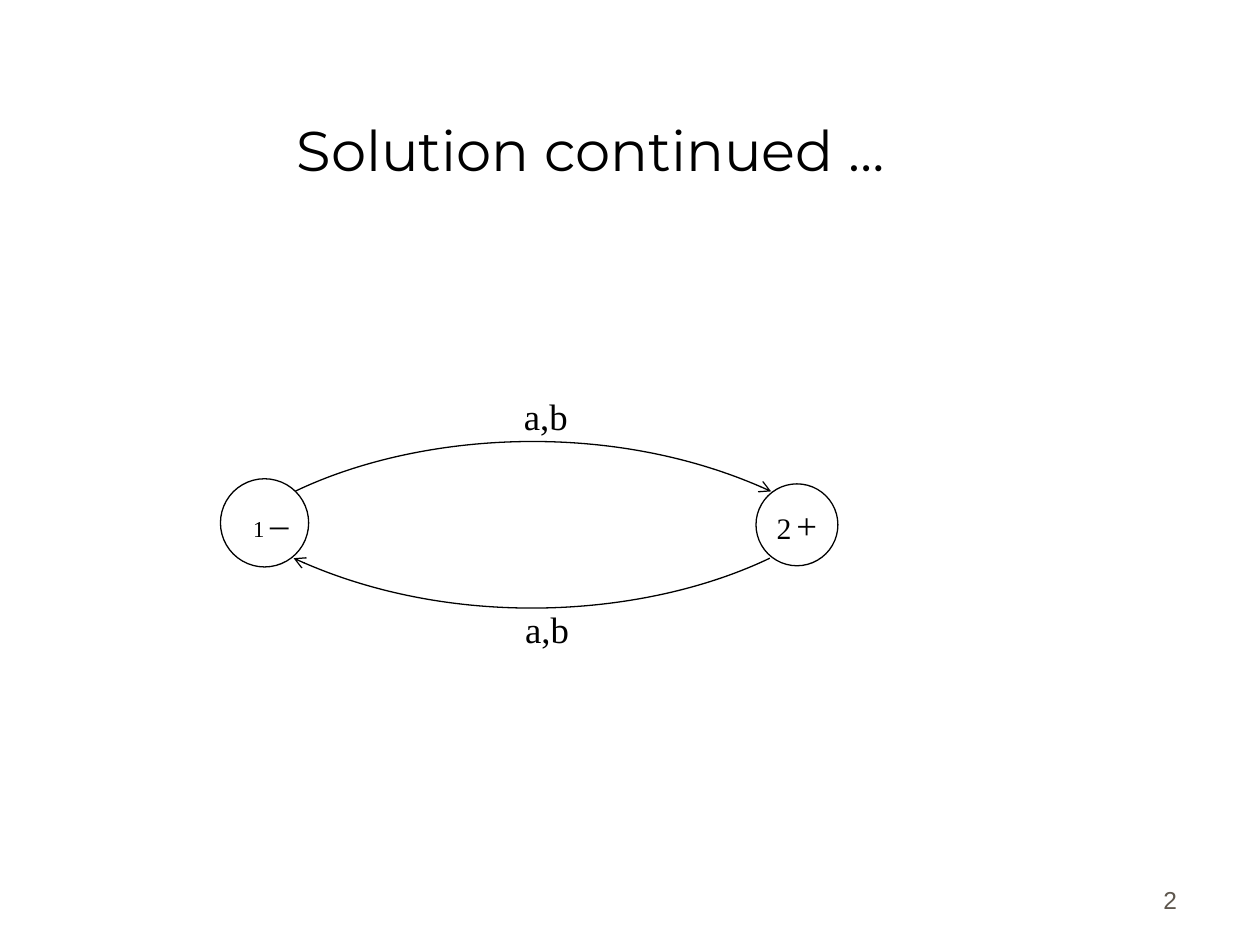
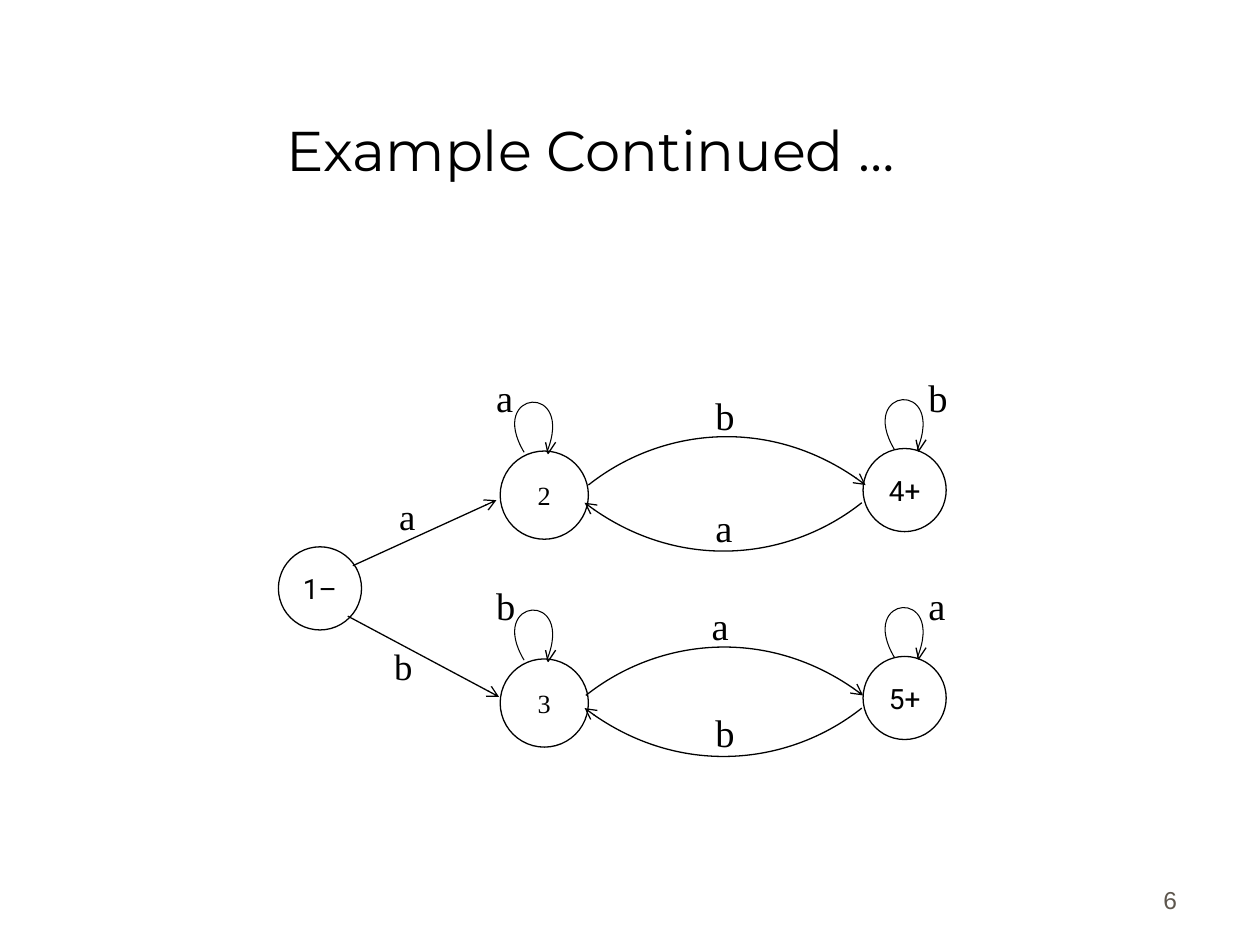
from dataclasses import dataclass

from lxml import etree
from pptx import Presentation
from pptx.dml.color import RGBColor
from pptx.enum.shapes import MSO_CONNECTOR, MSO_SHAPE
from pptx.enum.text import MSO_ANCHOR, PP_ALIGN
from pptx.oxml.ns import qn
from pptx.shapes.base import BaseShape
from pptx.slide import Slide
from pptx.util import Inches, Pt

BLACK = RGBColor(0x00, 0x00, 0x00)
WHITE = RGBColor(0xFF, 0xFF, 0xFF)
PAGE_NUMBER_COLOR = RGBColor(0x5E, 0x57, 0x4E)
TITLE_FONT = "Montserrat"
PAGE_NUMBER_FONT = "Arial"
LABEL_FONT = "Times New Roman"
FINAL_STATE_FONT = "Roboto"
LINE_WIDTH = 0.75
LOOP_WIDTH = 0.6
ROW_PITCH = 1.65

Point = tuple[float, float]


@dataclass(frozen=True)
class State:
    left: float
    top: float
    diameter: float
    caption: tuple[tuple[str, float], ...]  # text and size of each run
    font: str = LABEL_FONT
    left_inset: float = 0


@dataclass(frozen=True)
class Label:
    text: str
    left: float
    top: float
    size: float = 22


@dataclass(frozen=True)
class Arc:
    """A curved arrow; a negative span runs right to left, below the states."""
    x: float
    y: float
    span: float
    rise: float


def style_run(run, font: str, size: float, color: RGBColor = BLACK) -> None:
    run.font.name = font
    run.font.size = Pt(size)
    run.font.color.rgb = color


def style_line(shape: BaseShape, width: float = LINE_WIDTH, arrow: bool = False) -> None:
    shape.line.color.rgb = BLACK
    shape.line.width = Pt(width)
    if arrow:
        line = shape.line._get_or_add_ln()
        etree.SubElement(line, qn("a:tailEnd")).set("type", "arrow")


def add_titled_slide(presentation, title: str, page_number: str) -> Slide:
    slide = presentation.slides.add_slide(presentation.slide_layouts[5])
    heading = slide.shapes.title
    heading.left, heading.top = Inches(0.44), Inches(0.25)
    heading.width, heading.height = Inches(8.5), Inches(1.25)
    frame = heading.text_frame
    frame.text = title
    frame.vertical_anchor = MSO_ANCHOR.BOTTOM
    frame.paragraphs[0].alignment = PP_ALIGN.CENTER
    style_run(frame.paragraphs[0].runs[0], TITLE_FONT, 32)

    footer = slide.shapes.add_textbox(
        Inches(7.36), Inches(6.81), Inches(2.08), Inches(0.5))
    frame = footer.text_frame
    frame.word_wrap = True
    frame.vertical_anchor = MSO_ANCHOR.BOTTOM
    frame.text = page_number
    frame.paragraphs[0].alignment = PP_ALIGN.RIGHT
    style_run(frame.paragraphs[0].runs[0], PAGE_NUMBER_FONT, 14, PAGE_NUMBER_COLOR)
    return slide


def add_state(slide: Slide, state: State) -> None:
    circle = slide.shapes.add_shape(
        MSO_SHAPE.OVAL, Inches(state.left), Inches(state.top),
        Inches(state.diameter), Inches(state.diameter))
    circle.shadow.inherit = False
    circle.fill.solid()
    circle.fill.fore_color.rgb = WHITE
    style_line(circle)
    frame = circle.text_frame
    frame.word_wrap = False
    frame.vertical_anchor = MSO_ANCHOR.MIDDLE
    frame.margin_left = Inches(state.left_inset)
    frame.margin_right = frame.margin_top = frame.margin_bottom = 0
    paragraph = frame.paragraphs[0]
    paragraph.alignment = PP_ALIGN.CENTER
    for text, size in state.caption:
        run = paragraph.add_run()
        run.text = text
        style_run(run, state.font, size)


def add_label(slide: Slide, label: Label) -> None:
    box = slide.shapes.add_textbox(
        Inches(label.left), Inches(label.top), Inches(0.7), Inches(0.46))
    box.text_frame.word_wrap = True
    box.text_frame.text = label.text
    style_run(box.text_frame.paragraphs[0].runs[0], LABEL_FONT, label.size)


def add_open_path(slide: Slide, points: list[Point]) -> BaseShape:
    start, *others = [(Inches(x), Inches(y)) for x, y in points]
    builder = slide.shapes.build_freeform(*start)
    builder.add_line_segments(others, close=False)
    outline = builder.convert_to_shape()
    outline.shadow.inherit = False
    outline.fill.background()
    return outline


def add_curve(slide: Slide, points: list[Point]) -> BaseShape:
    """Draw a cubic curve from its start, two control points and end."""
    curve = add_open_path(slide, points)
    segments = list(curve._element.iter(qn("a:lnTo")))
    drawing_path = segments[0].getparent()
    cubic = etree.SubElement(drawing_path, qn("a:cubicBezTo"))
    for segment in segments:
        cubic.append(segment[0])
        drawing_path.remove(segment)
    return curve


def add_arc(slide: Slide, arc: Arc) -> None:
    rise = arc.rise if arc.span > 0 else -arc.rise
    steps = [(0, 0), (0.256, 0.8), (0.668, 1), (1, 0)]
    curve = add_curve(slide, [(arc.x + across * arc.span, arc.y - up * rise)
                              for across, up in steps])
    style_line(curve, arrow=True)


def add_loop(slide: Slide, x: float, y: float) -> None:
    """Draw a self-transition that leaves its state at (x, y)."""
    curve = add_curve(slide, [(x, y), (x - 0.3, y - 0.5),
                              (x + 0.41, y - 0.56), (x + 0.18, y)])
    style_line(curve, LOOP_WIDTH)
    head = add_open_path(slide, [(x + 0.17, y - 0.08), (x + 0.19, y + 0.01),
                                 (x + 0.25, y - 0.08)])
    style_line(head)


def add_straight_arrow(slide: Slide, start: Point, end: Point) -> None:
    connector = slide.shapes.add_connector(
        MSO_CONNECTOR.STRAIGHT, *(Inches(value) for value in start + end))
    style_line(connector, arrow=True)
    etree.SubElement(connector._element.spPr, qn("a:effectLst"))


def add_automaton(slide: Slide, states: list[State], arcs: list[Arc],
                  labels: list[Label]) -> None:
    for state in states:
        add_state(slide, state)
    for arc in arcs:
        add_arc(slide, arc)
    for label in labels:
        add_label(slide, label)


def build_solution_slide(presentation) -> None:
    slide = add_titled_slide(presentation, "Solution continued …", "2")
    add_automaton(
        slide,
        [State(1.75, 3.8, 0.7, (("1 ", 13), ("–", 21)), left_inset=0.1),
         State(6, 3.84, 0.65, (("2", 17), (" ", 11), ("+", 21)))],
        [Arc(2.34, 3.9, 3.78, 0.58), Arc(6.11, 4.43, -3.78, 0.58)],
        [Label("a,b", 4.06, 3.08, 21), Label("a,b", 4.07, 4.77, 21)])


def build_example_slide(presentation) -> None:
    slide = add_titled_slide(presentation, "Example Continued …", "6")
    states = [State(2.21, 4.34, 0.66, (("1–", 16),), FINAL_STATE_FONT)]
    for row, (middle, final) in enumerate([("2", "4+"), ("3", "5+")]):
        drop = row * ROW_PITCH
        states += [State(3.97, 3.58 + drop, 0.7, ((middle, 15),)),
                   State(6.85, 3.56 + drop, 0.66, ((final, 16),), FINAL_STATE_FONT)]
    arcs = [Arc(4.67, 3.85, 2.2, 0.56), Arc(6.84, 3.99, -2.2, 0.56),
            Arc(4.65, 5.52, 2.2, 0.56), Arc(6.84, 5.62, -2.2, 0.56)]
    labels = [Label("a", 3.07, 3.87, 21), Label("b", 3.03, 5.06, 21),
              Label("a", 3.84, 2.92), Label("b", 7.27, 2.92),
              Label("b", 5.58, 3.06), Label("a", 5.58, 3.95),
              Label("b", 3.84, 4.57), Label("a", 7.27, 4.57),
              Label("a", 5.55, 4.73), Label("b", 5.58, 5.58)]
    add_automaton(slide, states, arcs, labels)
    for drop in (0, ROW_PITCH):
        add_loop(slide, 4.16, 3.59 + drop)
        add_loop(slide, 7.1, 3.57 + drop)
    add_straight_arrow(slide, (2.8, 4.49), (3.94, 3.97))
    add_straight_arrow(slide, (2.76, 4.89), (3.96, 5.53))


def main() -> None:
    presentation = Presentation()
    presentation.slide_width = Inches(10)
    presentation.slide_height = Inches(7.5)
    build_solution_slide(presentation)
    build_example_slide(presentation)
    presentation.save("out.pptx")


if __name__ == "__main__":
    main()
